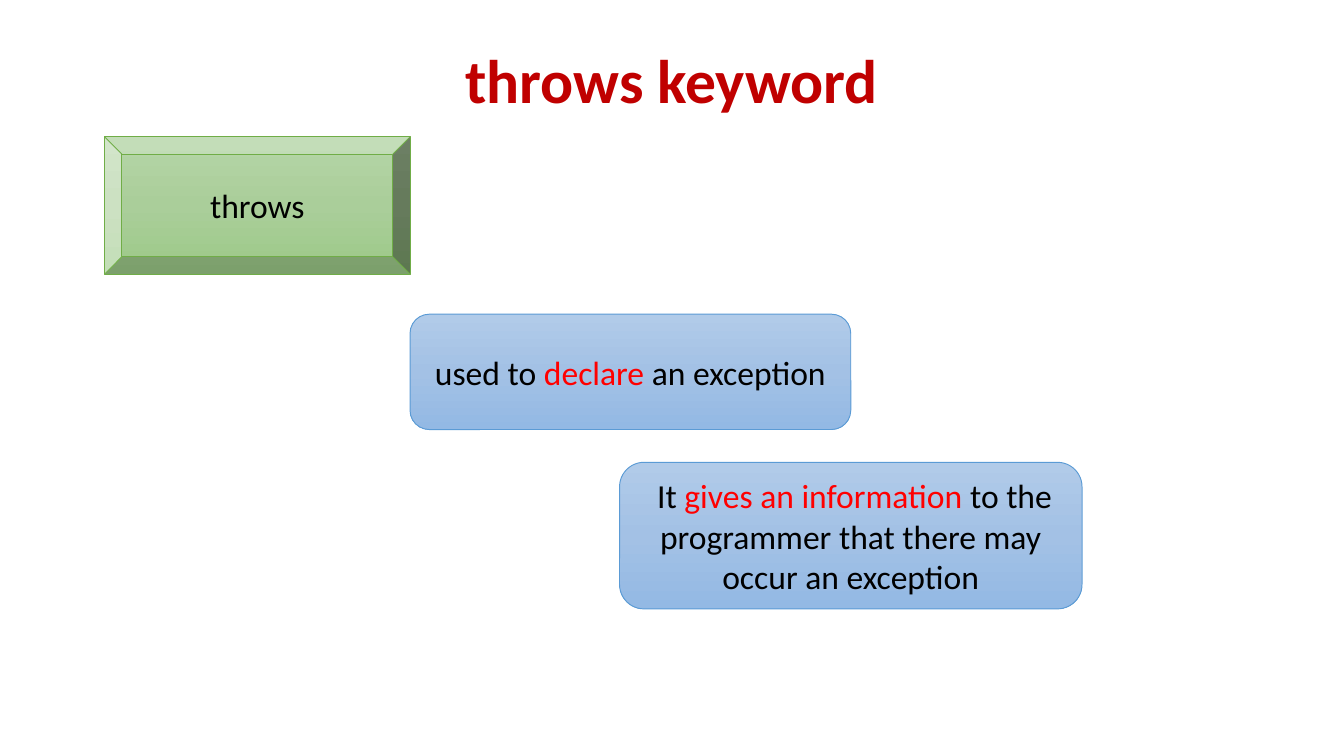
from copy import deepcopy
from dataclasses import dataclass

from pptx import Presentation
from pptx.dml.color import RGBColor as Rgb
from pptx.enum.shapes import MSO_SHAPE as Kind
from pptx.enum.text import MSO_ANCHOR as Anchor, PP_ALIGN as Align
from pptx.oxml.ns import qn
from pptx.util import Cm, Pt


@dataclass(frozen=True)
class Theme:
    font: str = "Calibri"
    head: str = "C00000"
    ink: str = "000000"
    mark: str = "FF0000"
    big: int = 33
    body: int = 18
    edge: float = 0.5
    green: tuple = ("70AD47", "B5D5A7", "AACE9A", "9CC987")
    blue: tuple = ("5B9BD5", "B1CBE9", "A3C1E5", "93B9E4")


THEME = Theme()
SIZE = (25.4, 14.29)

TITLE = ("throws keyword", (1.75, 0.76, 21.89, 1.63))

# Kind, line and fill colours, place in cm, text runs as (words, marked)
CARDS = [
    (Kind.BEVEL, THEME.green, (1.98, 2.59, 5.77, 2.59),
     [("throws", False)]),
    (Kind.ROUNDED_RECTANGLE, THEME.blue, (7.75, 5.94, 8.33, 2.18),
     [("used to ", False), ("declare", True), (" an exception", False)]),
    (Kind.ROUNDED_RECTANGLE, THEME.blue, (11.71, 8.74, 8.74, 2.77),
     [(" It ", False), ("gives an information ", True),
      ("to the programmer that there may occur an exception", False)]),
]


def place(box):
    return [Cm(n) for n in box]


def setup(shape, size):
    """Centre the shape's text and return its first paragraph."""
    frame = shape.text_frame
    frame.word_wrap = True
    frame.vertical_anchor = Anchor.MIDDLE
    para = frame.paragraphs[0]
    para.alignment = Align.CENTER
    para.font.name = THEME.font
    para.font.size = Pt(size)
    return para


def shade(shape, tints):
    """Fill from top to bottom with three evenly spaced tints."""
    fill = shape.fill
    fill.gradient()
    fill.gradient_angle = 270
    stops = shape.element.spPr.find(qn("a:gradFill")).find(qn("a:gsLst"))
    stops.insert(1, deepcopy(stops[0]))
    for i, (stop, tint) in enumerate(zip(fill.gradient_stops, tints)):
        stop.position = i / 2
        stop.color.rgb = Rgb.from_string(tint)


def add_title(slide):
    words, box = TITLE
    para = setup(slide.shapes.add_textbox(*place(box)), THEME.big)
    para.text = words
    para.line_spacing = 0.9
    para.font.bold = True
    para.font.color.rgb = Rgb.from_string(THEME.head)


def add_card(slide, kind, tones, box, runs):
    card = slide.shapes.add_shape(kind, *place(box))
    card.shadow.inherit = False
    edge, *tints = tones
    shade(card, tints)
    card.line.color.rgb = Rgb.from_string(edge)
    card.line.width = Pt(THEME.edge)
    para = setup(card, THEME.body)
    for words, marked in runs:
        run = para.add_run()
        run.text = words
        run.font.color.rgb = Rgb.from_string(THEME.mark if marked else THEME.ink)


def main():
    deck = Presentation()
    deck.slide_width, deck.slide_height = place(SIZE)
    slide = deck.slides.add_slide(deck.slide_layouts[6])
    add_title(slide)
    for card in CARDS:
        add_card(slide, *card)
    deck.save("out.pptx")


if __name__ == "__main__":
    main()
